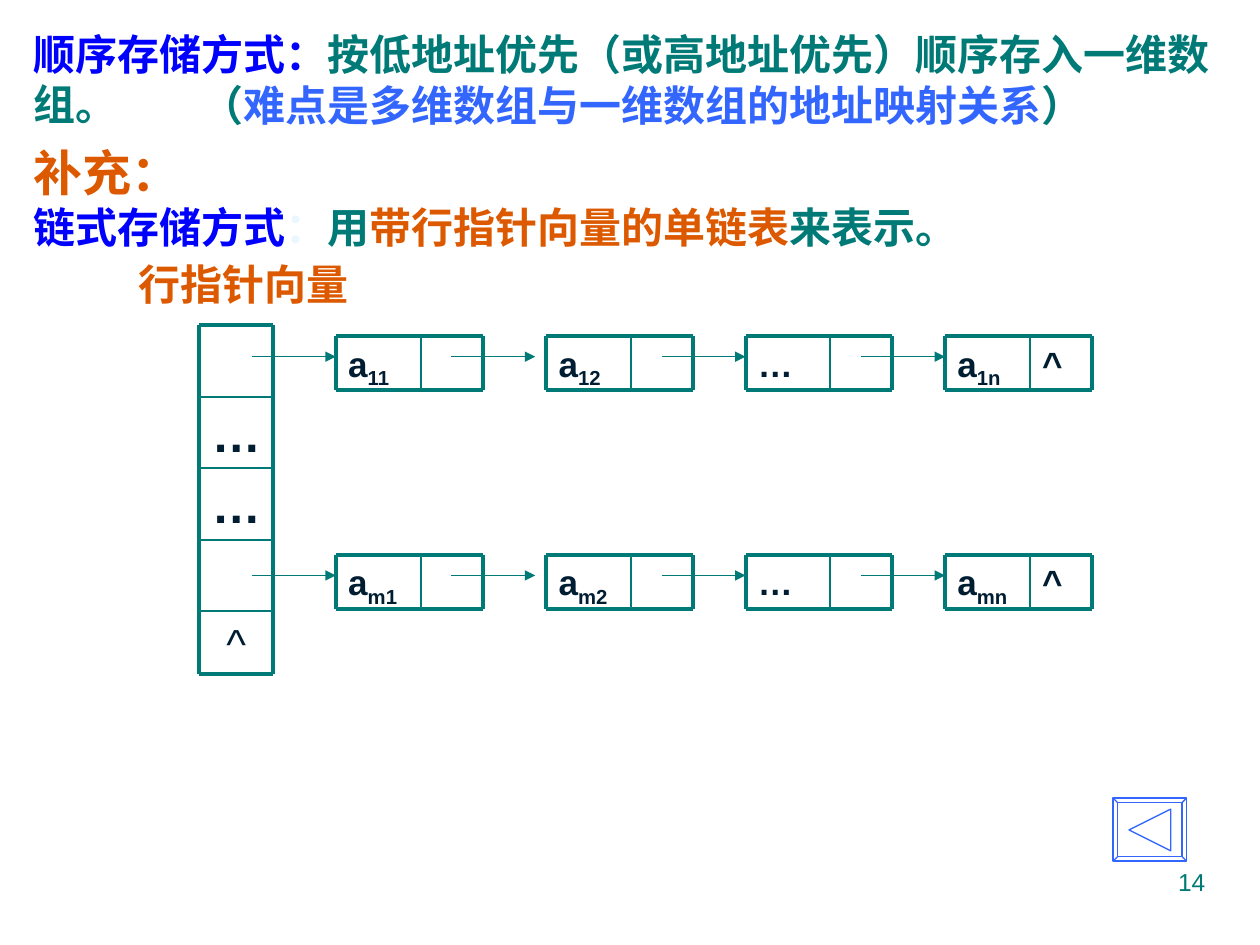
"""Slide on sequential and linked storage of arrays, with a row-pointer linked list."""
from lxml import etree
from pptx import Presentation
from pptx.dml.color import RGBColor
from pptx.enum.shapes import MSO_CONNECTOR, MSO_SHAPE
from pptx.enum.text import MSO_ANCHOR, PP_ALIGN
from pptx.oxml.ns import qn
from pptx.util import Cm, Pt

STRAIGHT = MSO_CONNECTOR.STRAIGHT
BEVEL, TRIANGLE = MSO_SHAPE.BEVEL, MSO_SHAPE.ISOSCELES_TRIANGLE
LEFT, CENTER, RIGHT = PP_ALIGN.LEFT, PP_ALIGN.CENTER, PP_ALIGN.RIGHT
TOP, MIDDLE = MSO_ANCHOR.TOP, MSO_ANCHOR.MIDDLE
COLORS = {"teal": "007A77", "blue": "0000FF", "sky": "3366FF",
          "orange": "DC5900", "ink": "001D32", "pale": "EBF7FF"}
SERIF = "Times New Roman"

prs = Presentation()
prs.slide_width, prs.slide_height = Cm(25.4), Cm(19.05)
slide = prs.slides.add_slide(prs.slide_layouts[6])
shapes = slide.shapes


def add_text(place, runs, size, font="Arial", bold=True, align=LEFT, anchor=TOP, wrap=True):
    frame = shapes.add_textbox(*map(Cm, place)).text_frame
    frame.word_wrap = wrap
    frame.vertical_anchor = anchor
    paragraph = frame.paragraphs[0]
    paragraph.alignment = align
    for text, color in runs:
        run = paragraph.add_run()
        run.text = text
        run.font.size, run.font.name, run.font.bold = Pt(size), font, bold
        run.font.color.rgb = RGBColor.from_string(COLORS[color])
        if text == "补充：":
            run.font.size = Pt(28)
            paragraph.add_line_break()
    return paragraph


def add_line(x1, y1, x2, y2, weight, arrow=False):
    line = shapes.add_connector(STRAIGHT, Cm(x1), Cm(y1), Cm(x2), Cm(y2))
    line.line.width = Pt(weight)
    line.line.color.rgb = RGBColor.from_string(COLORS["teal"])
    if arrow:
        etree.SubElement(line.line._get_or_add_ln(), qn("a:tailEnd"), type="triangle")
    etree.SubElement(line._element.spPr, qn("a:effectLst"))


add_text((18.2, 17.35, 6.35, 1.32), [("14", "teal")], 14, bold=False, align=RIGHT)
add_text((0.42, 0.21, 24.98, 2.75),
         [("顺序存储方式：", "blue"),
          ("按低地址优先（或高地址优先）顺序存入一维数组。", "teal")], 24, anchor=MIDDLE)
add_text((3.81, 1.48, 18.29, 1.27),
         [("（", "teal"), ("难点是多维数组与一维数组的地址映射关系", "sky"), ("）", "teal")],
         24, font=SERIF, wrap=False)
add_text((0.42, 2.75, 19.69, 2.46),
         [("补充：", "orange"), ("链式存储方式", "blue"), ("：", "pale"), ("用", "teal"),
          ("带行指针向量的单链表", "orange"), ("来表示。", "teal")], 24, font=SERIF)
add_text((2.54, 5.08, 4.8, 1.27), [("行指针向量", "orange")], 24, font=SERIF, wrap=False)

VECTOR_LEFT, VECTOR_TOP, VECTOR_WIDTH, SLOT_HEIGHT = 4.02, 6.56, 1.48, 1.44
VECTOR_HEIGHT = 7.03
NODE_LEFTS, NODE_TOPS = (6.77, 11.01, 15.03, 19.05), (6.77, 11.18)
NODE_WIDTH, NODE_HEIGHT, DATA_WIDTH = 2.96, 1.1, 1.71
ARROW_LENGTH, ARROW_DROP, ARROW_START = 1.69, 0.42, 2.33

frames = [(VECTOR_LEFT, VECTOR_TOP, VECTOR_WIDTH, VECTOR_HEIGHT)]
frames += [(left, top, NODE_WIDTH, NODE_HEIGHT) for top in NODE_TOPS for left in NODE_LEFTS]
for left, top, width, height in frames:
    right, bottom = left + width, top + height
    for y in (top, bottom):
        add_line(left, y, right, y, 2.25)
    for x in (left, right):
        add_line(x, top, x, bottom, 2.25)

for slot, (mark, size, bold) in enumerate(
        [("", 28, True), ("…", 28, True), ("…", 28, True), ("", 28, True), ("^", 24, False)]):
    slot_top = VECTOR_TOP + slot * SLOT_HEIGHT
    if slot:
        add_line(VECTOR_LEFT, slot_top, VECTOR_LEFT + VECTOR_WIDTH, slot_top, 1)
    if mark:
        add_text((VECTOR_LEFT, slot_top, VECTOR_WIDTH, SLOT_HEIGHT), [(mark, "ink")],
                 size, bold=bold, align=CENTER)

for row, top in zip("1m", NODE_TOPS):
    arrow_y = top + ARROW_DROP
    arrow_starts = [5.08] + [left + ARROW_START for left in NODE_LEFTS[:-1]]
    for left, column, start in zip(NODE_LEFTS, ("1", "2", "", "n"), arrow_starts):
        divider = left + DATA_WIDTH
        add_line(divider, top, divider, top + NODE_HEIGHT, 1)
        add_line(start, arrow_y, start + ARROW_LENGTH, arrow_y, 0.75, arrow=True)
        label = [("a", "ink"), (row + column, "ink")] if column else [("…", "ink")]
        element = add_text((left, top, DATA_WIDTH, NODE_HEIGHT), label, 20)
        for subscript in element.runs[1:]:
            subscript.font._element.set("baseline", "-25000")
    add_text((divider, top, NODE_WIDTH - DATA_WIDTH, NODE_HEIGHT), [("^", "ink")], 20)

for kind, left, top, width, height in [(BEVEL, 22.44, 16.09, 1.48, 1.27),
                                       (TRIANGLE, 22.76, 16.31, 0.84, 0.84)]:
    back_button = shapes.add_shape(kind, Cm(left), Cm(top), Cm(width), Cm(height))
    back_button.shadow.inherit = False
    back_button.fill.background()
    back_button.line.color.rgb = RGBColor.from_string(COLORS["sky"])
    back_button.line.width = Pt(0.75)
    if kind == BEVEL:
        back_button.adjustments[0] = 0.07
    else:
        back_button.rotation = 270

prs.save("out.pptx")
